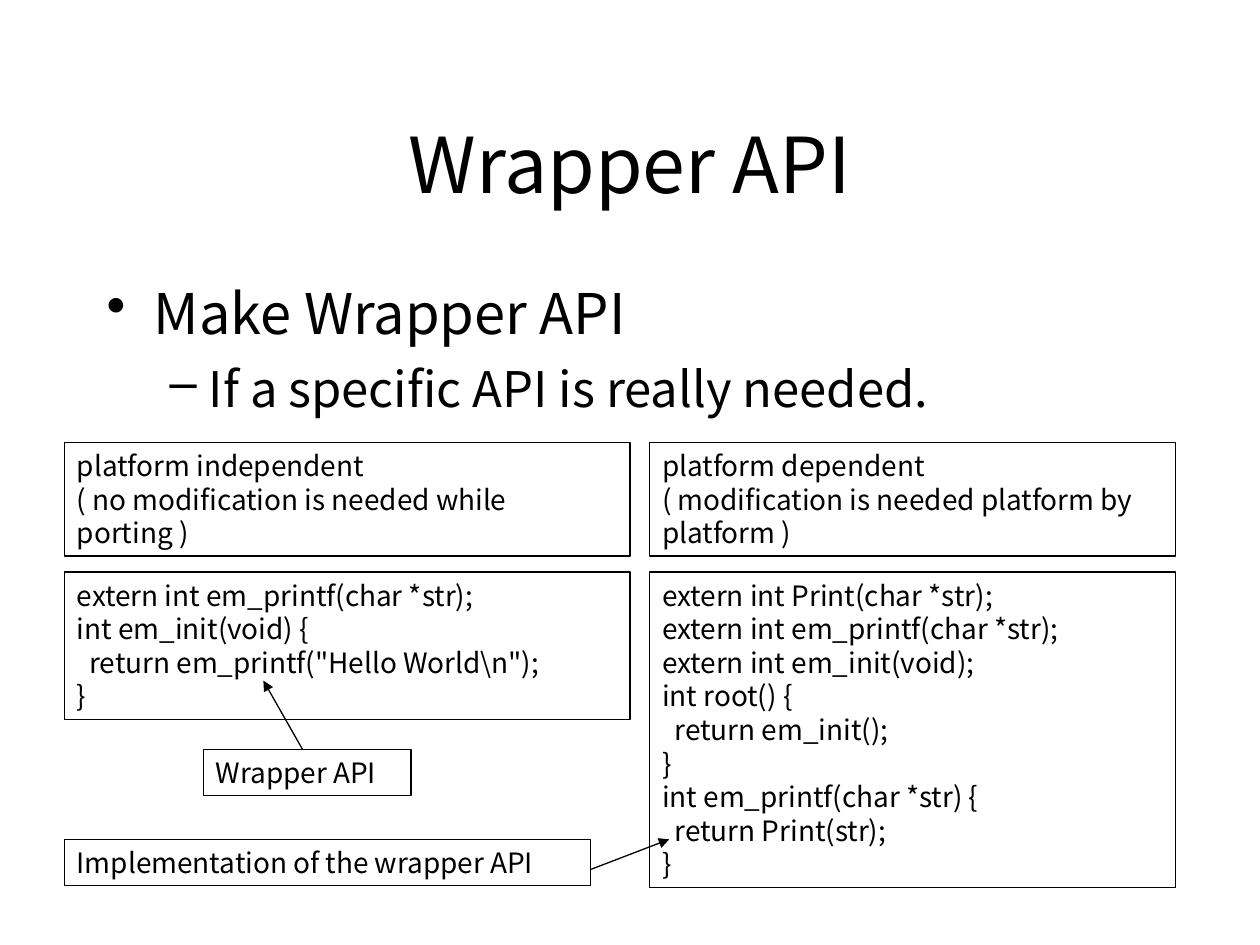
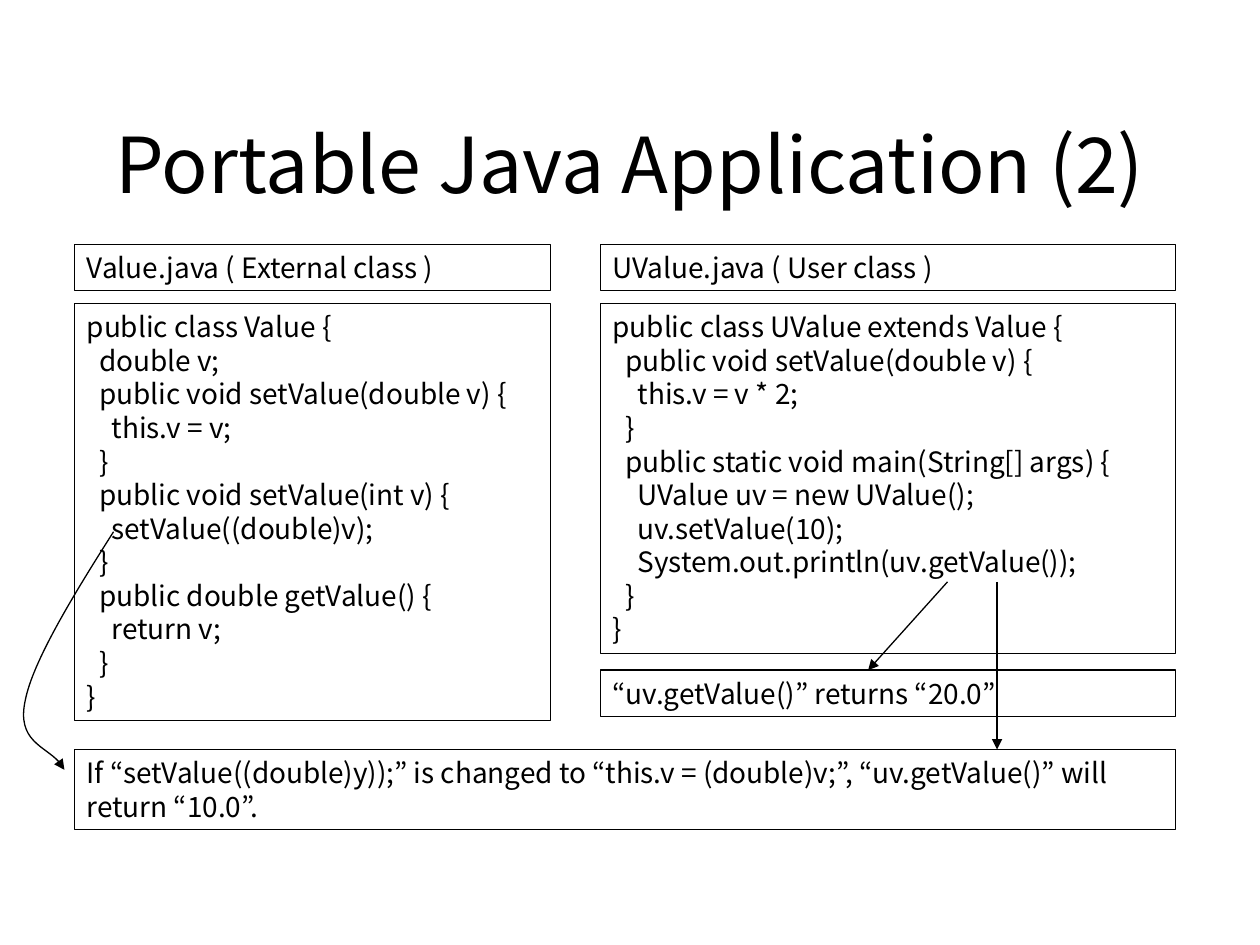
from pptx import Presentation
from pptx.dml.color import RGBColor
from pptx.enum.shapes import MSO_CONNECTOR, MSO_SHAPE
from pptx.enum.text import MSO_ANCHOR as Anchor, MSO_AUTO_SIZE as AutoSize, PP_ALIGN as Align
from pptx.oxml.ns import qn
from pptx.oxml.xmlchemy import OxmlElement
from pptx.util import Cm, Pt

BLACK = RGBColor(0, 0, 0)
FONT = "Noto Sans CJK KR"
CODE_SIZE = 16
LINE_HEIGHT = 0.68
BOX_PADDING = 0.25


def write_text(frame, text, *, size=CODE_SIZE, align=Align.LEFT, anchor=Anchor.TOP):
    """Fill the frame with one paragraph for each line of text."""
    frame.word_wrap = True
    frame.vertical_anchor = anchor
    for number, line in enumerate(text.split("\n")):
        para = frame.paragraphs[0] if number == 0 else frame.add_paragraph()
        write_line(para, line, size, align)


def write_line(para, line, size, align=Align.LEFT):
    para.alignment = align
    span = para.add_run()
    span.text = line
    span.font.name = FONT
    span.font.size = Pt(size)
    span.font.color.rgb = BLACK


def set_bullet(para, symbol, margin, hanging):
    properties = para._p.get_or_add_pPr()
    properties.set("marL", str(Cm(margin)))
    properties.set("indent", str(-Cm(hanging)))
    bullet = OxmlElement("a:buChar")
    bullet.set("char", symbol)
    properties.append(bullet)


def style_outline(shape, arrow=False):
    shape.line.color.rgb = BLACK
    shape.line.width = Pt(0.75)
    if arrow:
        head = OxmlElement("a:tailEnd")
        head.set("type", "triangle")
        shape.line._get_or_add_ln().append(head)


class SlideWriter:
    def __init__(self, deck):
        self.deck = deck
        self.page = None

    def start_page(self, title):
        self.page = self.deck.slides.add_slide(self.deck.slide_layouts[6])
        box = self.page.shapes.add_textbox(Cm(1.9), Cm(1.7), Cm(21.6), Cm(3.18))
        write_text(box.text_frame, title, size=44, align=Align.CENTER, anchor=Anchor.MIDDLE)

    def bullets(self, heading, detail):
        box = self.page.shapes.add_textbox(Cm(1.9), Cm(5.5), Cm(21.6), Cm(11.43))
        frame = box.text_frame
        frame.word_wrap = True
        first, second = frame.paragraphs[0], frame.add_paragraph()
        second.level = 1
        second.space_before = Pt(7)
        set_bullet(first, "•", 0.95, 0.95)
        set_bullet(second, "–", 2.06, 0.79)
        write_line(first, heading, 32)
        write_line(second, detail, 28)

    def framed_text(self, left, top, width, text, wrapped_lines=0):
        """Draw a framed box whose height follows its number of lines."""
        lines = text.count("\n") + 1 + wrapped_lines
        height = BOX_PADDING + lines * LINE_HEIGHT
        box = self.page.shapes.add_shape(
            MSO_SHAPE.RECTANGLE, Cm(left), Cm(top), Cm(width), Cm(height))
        box.shadow.inherit = False
        box.fill.background()
        style_outline(box)
        write_text(box.text_frame, text)
        box.text_frame.auto_size = AutoSize.SHAPE_TO_FIT_TEXT

    def arrow(self, start, end):
        line = self.page.shapes.add_connector(
            MSO_CONNECTOR.STRAIGHT, *(Cm(value) for value in start + end))
        style_outline(line, arrow=True)
        line._element.spPr.append(OxmlElement("a:effectLst"))

    def curved_arrow(self, start, *points):
        """Draw cubic curves; every three points are two controls and an end."""
        builder = self.page.shapes.build_freeform(Cm(start[0]), Cm(start[1]))
        builder.add_line_segments([(Cm(x), Cm(y)) for x, y in points], close=False)
        curve = builder.convert_to_shape()
        segments = list(curve._element.iter(qn("a:lnTo")))
        for index in range(0, len(segments), 3):
            bezier = OxmlElement("a:cubicBezTo")
            segments[index].addprevious(bezier)
            for segment in segments[index:index + 3]:
                bezier.append(segment[0])
                segment.getparent().remove(segment)
        curve.shadow.inherit = False
        curve.fill.background()
        style_outline(curve, arrow=True)


INDEPENDENT_CODE = r"""extern int em_printf(char *str);
int em_init(void) {
  return em_printf("Hello World\n");
}"""

DEPENDENT_CODE = """extern int Print(char *str);
extern int em_printf(char *str);
extern int em_init(void);
int root() {
  return em_init();
}
int em_printf(char *str) {
  return Print(str);
}"""

VALUE_CODE = """public class Value {
  double v;
  public void setValue(double v) {
    this.v = v;
  }
  public void setValue(int v) {
    setValue((double)v);
  }
  public double getValue() {
    return v;
  }
}"""

USER_VALUE_CODE = """public class UValue extends Value {
  public void setValue(double v) {
    this.v = v * 2;
  }
  public static void main(String[] args) {
    UValue uv = new UValue();
    uv.setValue(10);
    System.out.println(uv.getValue());
  }
}"""


def add_wrapper_page(writer):
    writer.start_page("Wrapper API")
    writer.bullets("Make Wrapper API", "If a specific API is really needed.")
    columns = (
        (1.3, 11.4, INDEPENDENT_CODE,
         "platform independent\n( no modification is needed while porting )"),
        (13.1, 10.6, DEPENDENT_CODE,
         "platform dependent\n( modification is needed platform by platform )"),
    )
    for left, width, code, caption in columns:
        writer.framed_text(left, 11.53, width, code)
        writer.framed_text(left, 8.92, width, caption, wrapped_lines=1)
    writer.framed_text(4.1, 15.11, 4.19, "Wrapper API")
    writer.framed_text(1.3, 16.92, 10.6, "Implementation of the wrapper API")
    writer.arrow((6.1, 15.11), (5.31, 13.72))
    writer.arrow((11.9, 17.53), (13.49, 16.92))


def add_java_page(writer):
    writer.start_page("Portable Java Application (2)")
    columns = (
        (1.5, 9.6, VALUE_CODE, "Value.java ( External class )"),
        (12.1, 11.6, USER_VALUE_CODE, "UValue.java ( User class )"),
    )
    for left, width, code, caption in columns:
        writer.framed_text(left, 6.12, width, code)
        writer.framed_text(left, 4.93, width, caption)
    writer.framed_text(12.1, 13.51, 11.6, "“uv.getValue()” returns “20.0”")
    writer.framed_text(
        1.5, 15.11, 22.2,
        "If “setValue((double)y));” is changed to “this.v = (double)v;”, "
        "“uv.getValue()” will return “10.0”.", wrapped_lines=1)
    writer.arrow((19.1, 11.73), (17.5, 13.51))
    writer.curved_arrow((2.29, 10.72), (1.47, 12.01), (0.66, 13.34), (0.51, 14.12),
                        (0.33, 14.94), (1.09, 15.09), (1.3, 15.52))
    writer.arrow((20.1, 11.73), (20.1, 15.11))


def main():
    deck = Presentation()
    deck.slide_width, deck.slide_height = Cm(25.4), Cm(19.05)
    writer = SlideWriter(deck)
    add_wrapper_page(writer)
    add_java_page(writer)
    deck.save("out.pptx")


if __name__ == "__main__":
    main()
